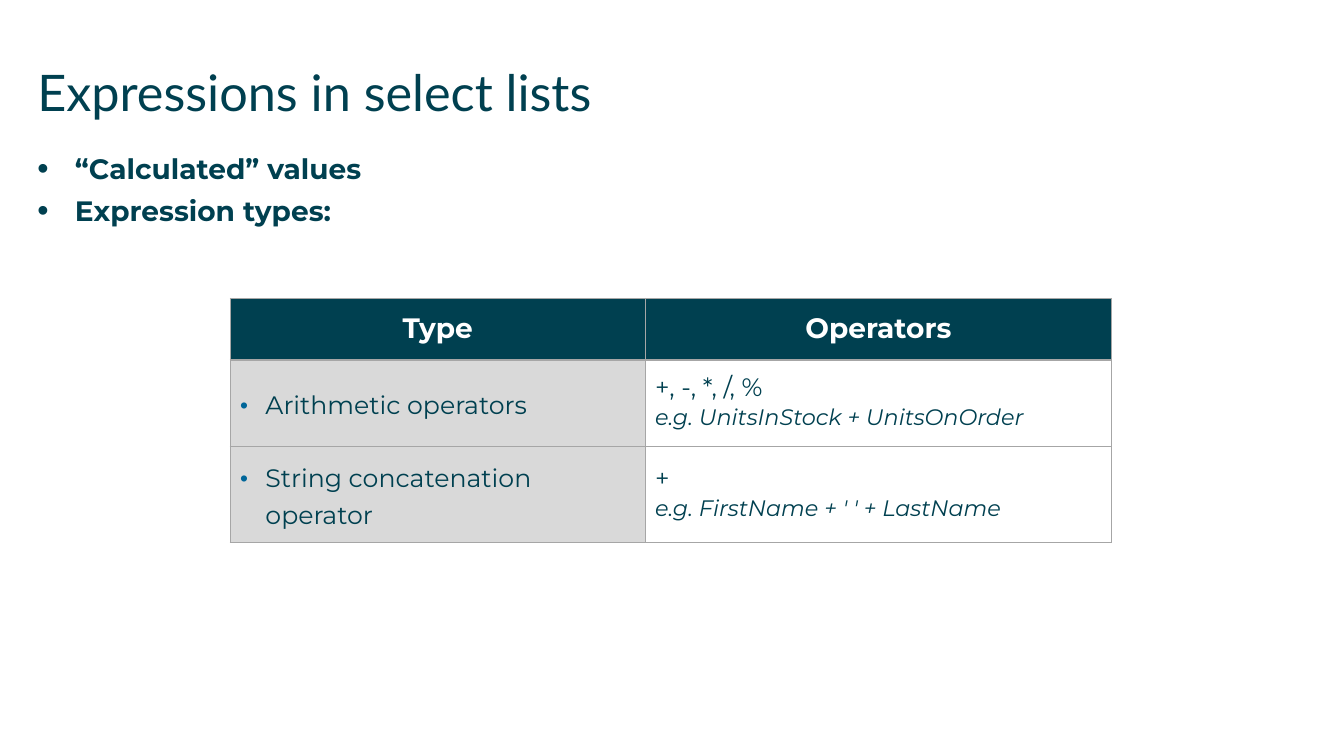
from lxml import etree
from pptx import Presentation
from pptx.dml.color import RGBColor
from pptx.enum.text import MSO_ANCHOR as ANCHOR, PP_ALIGN as ALIGN
from pptx.oxml.ns import qn
from pptx.util import Cm, Pt

DARK, WHITE, GREY = "004050", "FFFFFF", "D9D9D9"
BORDER, BULLET = "A6A6A6", "006699"


def rgb(value):
    return RGBColor.from_string(value)


def add_node(parent, tag, **attrs):
    return etree.SubElement(parent, qn(tag), attrs)


class Deck:
    title_font, body_font = "Lato", "Montserrat"

    def __init__(self):
        self.prs = Presentation()
        self.prs.slide_width, self.prs.slide_height = Cm(33.87), Cm(19.05)
        self.s = self.prs.slides.add_slide(self.prs.slide_layouts[5])

    def frame(self, tf):
        tf.word_wrap = True
        tf.vertical_anchor = ANCHOR.TOP
        tf.margin_left = tf.margin_right = tf.margin_top = tf.margin_bottom = 0

    def paragraph(self, p, text, size, color=DARK, font=None, bold=False, italic=False,
                  align=ALIGN.LEFT, line=None, before=None, after=None,
                  indent=0, bullet_size=None, bullet_color=None):
        p.text = text
        p.alignment = align
        p.line_spacing = line
        pPr = p._p.get_or_add_pPr()
        pPr.set("marL", str(Cm(indent)))
        pPr.set("indent", str(-Cm(indent)))
        # Space before is a percentage of the line
        if before:
            add_node(add_node(pPr, "a:spcBef"), "a:spcPct", val=str(before * 1000))
        if after:
            p.space_after = Pt(after)
        if bullet_size:
            if bullet_color:
                add_node(add_node(pPr, "a:buClr"), "a:srgbClr", val=bullet_color)
            add_node(pPr, "a:buSzPct", val=str(bullet_size * 1000))
            add_node(pPr, "a:buFont", typeface="Arial")
            add_node(pPr, "a:buChar", char="•")
        for r in p.runs:
            f = r.font
            f.name, f.size, f.bold, f.italic = font or self.body_font, Pt(size), bold, italic
            f.color.rgb = rgb(color)

    def title(self, text, x, y, w, h):
        sp = self.s.shapes.title
        sp.left, sp.top, sp.width, sp.height = Cm(x), Cm(y), Cm(w), Cm(h)
        self.frame(sp.text_frame)
        self.paragraph(sp.text_frame.paragraphs[0], text, 36, font=self.title_font)

    def bullets(self, lines, x, y, w, h):
        tf = self.s.shapes.add_textbox(Cm(x), Cm(y), Cm(w), Cm(h)).text_frame
        self.frame(tf)
        tf.text = "\n".join(lines)
        for p, line in zip(tf.paragraphs, lines):
            self.paragraph(p, line, 20, bold=True, after=6.5, indent=0.95, bullet_size=115)

    def cell(self, cell, fill):
        cell.vertical_anchor = ANCHOR.MIDDLE
        cell.margin_left = cell.margin_right = Cm(0.25)
        cell.margin_top = cell.margin_bottom = Cm(0.25)
        tcPr = cell._tc.get_or_add_tcPr()
        for side in ("a:lnL", "a:lnR", "a:lnT", "a:lnB"):
            ln = add_node(tcPr, side, w=str(Pt(1)))
            add_node(add_node(ln, "a:solidFill"), "a:srgbClr", val=BORDER)
        cell.fill.solid()
        cell.fill.fore_color.rgb = rgb(fill)
        return cell.text_frame

    def table(self, header, rows, x, y, widths, heights):
        table = self.s.shapes.add_table(len(heights), len(widths), Cm(x), Cm(y),
                                        Cm(sum(widths)), Cm(sum(heights))).table
        table.horz_banding = False
        for column, width in zip(table.columns, widths):
            column.width = Cm(width)
        for row, height in zip(table.rows, heights):
            row.height = Cm(height)
        # Header row
        for c, text in enumerate(header):
            tf = self.cell(table.cell(0, c), DARK)
            self.paragraph(tf.paragraphs[0], text, 20, WHITE, bold=True,
                           align=ALIGN.CENTER, line=0.9, before=70)
        # Type on the left, operators with an example on the right
        for n, (kind, operators, example) in enumerate(rows, 1):
            tf = self.cell(table.cell(n, 0), GREY)
            self.paragraph(tf.paragraphs[0], kind, 18, line=1.18, before=30,
                           indent=0.64, bullet_size=90, bullet_color=BULLET)
            tf = self.cell(table.cell(n, 1), WHITE)
            self.paragraph(tf.paragraphs[0], operators, 18, line=0.8, before=30)
            self.paragraph(tf.add_paragraph(), example, 16, italic=True,
                           line=0.8, before=30, indent=0.64)


def main():
    deck = Deck()
    deck.title("Expressions in select lists", 0.94, 1.55, 32, 2.24)
    deck.bullets(["“Calculated” values", "Expression types:"], 0.94, 3.81, 32, 13.77)
    deck.table(
        ["Type", "Operators"],
        [("Arithmetic operators", "+, -, *, /, %", "e.g. UnitsInStock + UnitsOnOrder"),
         ("String concatenation operator", "+", "e.g. FirstName + ' ' + LastName")],
        5.8, 7.52, widths=[10.46, 11.76], heights=[1.55, 2.18, 2.41])
    deck.prs.save("out.pptx")


if __name__ == "__main__":
    main()
